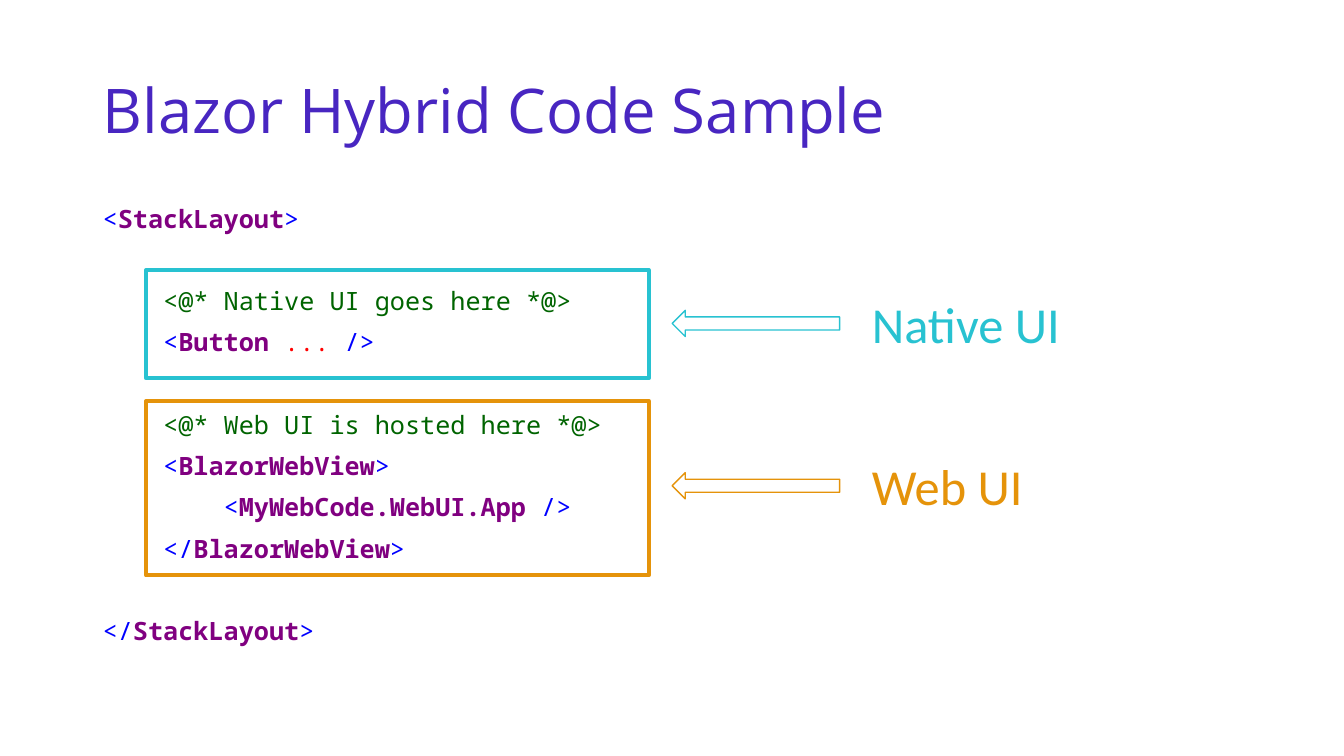
from dataclasses import dataclass

from pptx import Presentation
from pptx.dml.color import RGBColor
from pptx.enum.shapes import MSO_SHAPE as Preset
from pptx.enum.text import MSO_ANCHOR as Anchor
from pptx.shapes.autoshape import Shape
from pptx.slide import Slide
from pptx.text.text import Font, TextFrame
from pptx.util import Cm, Pt

COLORS = {
    "title": "4826C1",
    "bracket": "0000FF",
    "tag": "800080",
    "comment": "006400",
    "attribute": "FF0000",
    "native": "28C2D1",
    "web": "E5930A",
    "white": "FFFFFF",
}

LINE_GAP = 10
BLOCK_GAP = 39.4
TEXT_LEFT, TEXT_WIDTH = 2.34, 29.21


@dataclass(frozen=True)
class CodeLine:
    tokens: tuple[tuple[str, str], ...]
    gap: float = LINE_GAP


@dataclass(frozen=True)
class Callout:
    label: str
    color: str
    frame_top: float
    frame_height: float
    arrow_top: float


CODE = (
    CodeLine((("bracket", "<"), ("tag", "StackLayout"), ("bracket", ">"))),
    CodeLine((("comment", "    <@* Native UI goes here *@>"),), BLOCK_GAP),
    CodeLine((("bracket", "    <"), ("tag", "Button "),
              ("attribute", "... "), ("bracket", "/>"))),
    CodeLine((("comment", "    <@* Web UI is hosted here *@>"),), BLOCK_GAP),
    CodeLine((("bracket", "    <"), ("tag", "BlazorWebView"), ("bracket", ">"))),
    CodeLine((("bracket", "        <"), ("tag", "MyWebCode.WebUI.App "),
              ("bracket", "/>"))),
    CodeLine((("bracket", "    </"), ("tag", "BlazorWebView"), ("bracket", ">"))),
    CodeLine((("bracket", "</"), ("tag", "StackLayout"), ("bracket", ">")), BLOCK_GAP),
)

CALLOUTS = (
    Callout("Native UI", "native", 6.81, 2.72, 7.82),
    Callout("Web UI", "web", 10.11, 4.39, 11.91),
)


def rgb(name: str) -> RGBColor:
    return RGBColor.from_string(COLORS[name])


def set_font(font: Font, face: str, size: float) -> None:
    font.name = face
    font.size = Pt(size)


def add_text_frame(page: Slide, left: float, top: float,
                   width: float, height: float) -> TextFrame:
    box = page.shapes.add_textbox(Cm(left), Cm(top), Cm(width), Cm(height))
    box.text_frame.word_wrap = True
    return box.text_frame


def add_label(frame: TextFrame, text: str, face: str, size: float, color: str) -> None:
    """Fill a text frame with one line in one style."""
    para = frame.paragraphs[0]
    para.text = text
    set_font(para.font, face, size)
    para.font.color.rgb = rgb(color)


def add_outlined(page: Slide, preset: Preset, left: float, top: float, width: float,
                 height: float, color: str, weight: float) -> Shape:
    shape = page.shapes.add_shape(preset, Cm(left), Cm(top), Cm(width), Cm(height))
    shape.shadow.inherit = False
    shape.fill.background()
    shape.line.color.rgb = rgb(color)
    shape.line.width = Pt(weight)
    return shape


def add_title(page: Slide) -> None:
    frame = add_text_frame(page, TEXT_LEFT, 1.02, TEXT_WIDTH, 3.68)
    frame.vertical_anchor = Anchor.MIDDLE
    add_label(frame, "Blazor Hybrid Code Sample", "Open Sans", 44, "title")
    frame.paragraphs[0].line_spacing = 0.9


def add_code(page: Slide) -> None:
    frame = add_text_frame(page, TEXT_LEFT, 5.08, TEXT_WIDTH, 12.09)
    for index, line in enumerate(CODE):
        para = frame.add_paragraph() if index else frame.paragraphs[0]
        para.line_spacing = 0.9
        para.space_before = Pt(line.gap if index else 0)
        set_font(para.font, "Noto Sans Mono", 18)
        for kind, text in line.tokens:
            span = para.add_run()
            span.text = text
            span.font.bold = kind == "tag"
            span.font.color.rgb = rgb(kind)


def add_callout(page: Slide, callout: Callout) -> None:
    """Frame a block of code and point at it from its label."""
    add_outlined(page, Preset.RECTANGLE, 3.68, callout.frame_top,
                 12.67, callout.frame_height, callout.color, 3)
    arrow = add_outlined(page, Preset.RIGHT_ARROW, 16.94, callout.arrow_top,
                         4.22, 0.66, callout.color, 1)
    arrow.rotation = 180
    arrow.fill.solid()
    arrow.fill.fore_color.rgb = rgb("white")
    frame = add_text_frame(page, 21.72, callout.arrow_top - 0.57, 8.2, 1.8)
    add_label(frame, callout.label, "Calibri", 36, callout.color)


def main() -> None:
    deck = Presentation()
    deck.slide_width, deck.slide_height = Cm(33.87), Cm(19.05)
    page = deck.slides.add_slide(deck.slide_layouts[6])
    add_title(page)
    add_code(page)
    for callout in CALLOUTS:
        add_callout(page, callout)
    deck.save("out.pptx")


if __name__ == "__main__":
    main()
